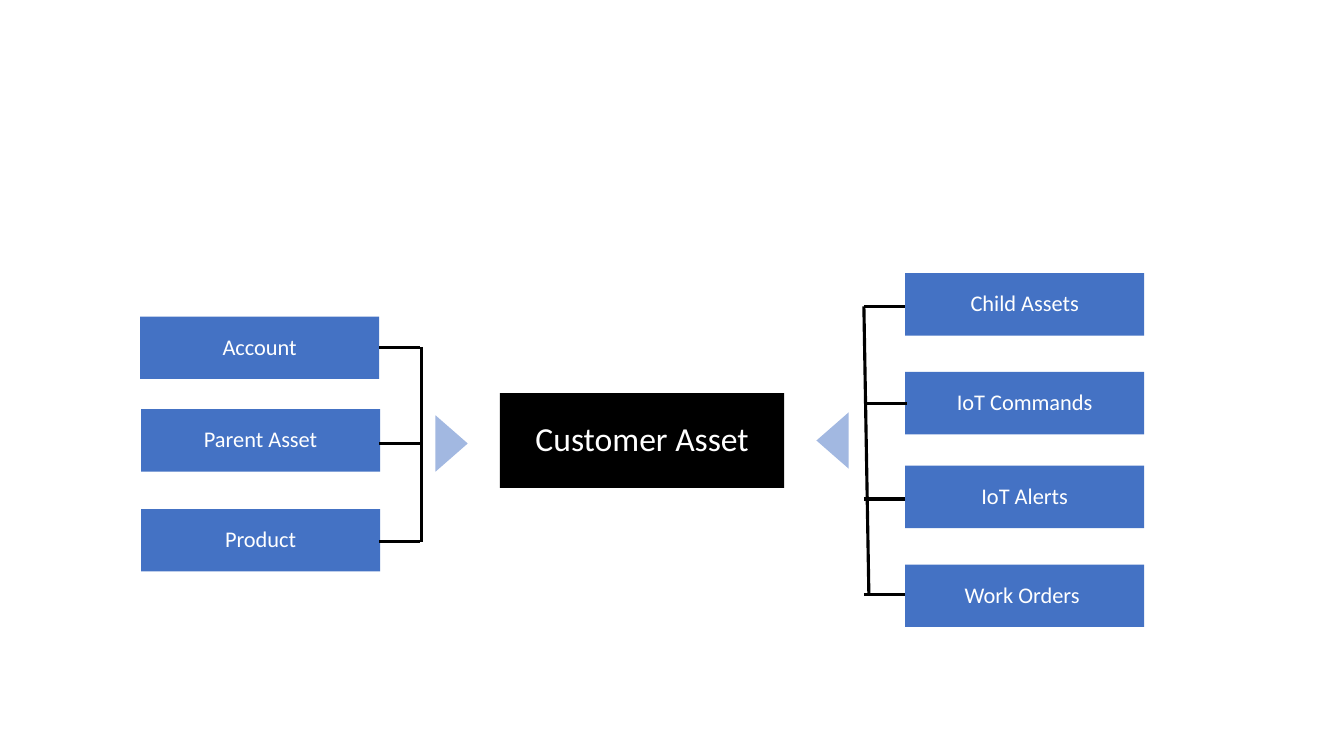
from lxml.etree import SubElement
from pptx import Presentation
from pptx.dml.color import RGBColor
from pptx.enum.shapes import MSO_CONNECTOR, MSO_SHAPE
from pptx.enum.text import MSO_ANCHOR, PP_ALIGN
from pptx.oxml.ns import qn
from pptx.util import Inches, Pt

BLACK = RGBColor(0x00, 0x00, 0x00)
WHITE = RGBColor(0xFF, 0xFF, 0xFF)
BLUE = RGBColor(0x44, 0x72, 0xC4)
PALE_BLUE = RGBColor(0xA2, 0xB8, 0xE1)
FONT = "Calibri"
SLIDE_WIDTH, SLIDE_HEIGHT = Inches(13.333), Inches(7.5)

# Positions and sizes are percentages of the slide's width and height.
CARD_WIDTH, CARD_HEIGHT = 17.78, 8.27
BRANCH_LENGTH = 3.08

# Each entry: label, card left, card top, branch left, branch height on the slide.
PARENTS = [
    ("Account", 10.43, 41.87, 28.2, 46),
    ("Parent Asset", 10.5, 54.13, 28.2, 58.67),
    ("Product", 10.5, 67.33, 28.2, 71.6),
]
CHILDREN = [
    ("Child Assets", 67.35, 36.13, 64.28, 40.53),
    ("IoT Commands", 67.35, 49.2, 64.43, 53.33),
    ("IoT Alerts", 67.35, 61.6, 64.28, 66),
    ("Work Orders ", 67.35, 74.67, 64.28, 78.67),
]


def across(percent):
    return round(SLIDE_WIDTH * percent / 100)


def down(percent):
    return round(SLIDE_HEIGHT * percent / 100)


def add_filled(page, preset, left, top, width, height, color):
    shape = page.shapes.add_shape(
        preset, across(left), down(top), across(width), down(height))
    shape.shadow.inherit = False
    shape.fill.solid()
    shape.fill.fore_color.rgb = color
    shape.line.fill.background()
    return shape


def write_text(box, text, size=16, color=WHITE):
    frame = box.text_frame
    frame.word_wrap = True
    frame.vertical_anchor = MSO_ANCHOR.MIDDLE
    frame.margin_left = frame.margin_right = Inches(0.27)
    frame.margin_top = frame.margin_bottom = Inches(0.21)
    para = frame.paragraphs[0]
    para.alignment = PP_ALIGN.CENTER
    para.line_spacing = 0.9
    span = para.add_run()
    span.text = text
    span.font.name = FONT
    span.font.size = Pt(size)
    span.font.color.rgb = color


def add_card(page, text, left, top, width=CARD_WIDTH, height=CARD_HEIGHT,
             fill=BLUE, size=16):
    card = add_filled(page, MSO_SHAPE.RECTANGLE, left, top, width, height, fill)
    write_text(card, text, size=size)


def add_line(page, start_x, start_y, end_x, end_y):
    line = page.shapes.add_connector(
        MSO_CONNECTOR.STRAIGHT,
        across(start_x), down(start_y), across(end_x), down(end_y))
    line.line.color.rgb = BLACK
    line.line.width = Pt(2.25)
    SubElement(line._element.spPr, qn("a:effectLst"))


def add_pointer(page, left, top, rotation):
    pointer = add_filled(
        page, MSO_SHAPE.ISOSCELES_TRIANGLE, left, top, 4.2, 4.27, PALE_BLUE)
    pointer.rotation = rotation


def add_bracket(page, entries, spine):
    """Draw a group of cards, the spine beside them and a branch to each card."""
    add_line(page, *spine)
    for label, left, top, branch_left, branch_y in entries:
        add_card(page, label, left, top)
        add_line(page, branch_left, branch_y, branch_left + BRANCH_LENGTH, branch_y)


def main():
    deck = Presentation()
    deck.slide_width, deck.slide_height = SLIDE_WIDTH, SLIDE_HEIGHT
    page = deck.slides.add_slide(deck.slide_layouts[6])

    add_card(page, "Customer Asset", 37.2, 52, width=21.15, height=12.53,
             fill=BLACK, size=24)
    add_bracket(page, PARENTS, spine=(31.35, 45.87, 31.35, 71.73))
    add_pointer(page, 31.5, 56.53, rotation=90)
    add_bracket(page, CHILDREN, spine=(64.28, 40.53, 64.65, 78.67))
    add_pointer(page, 59.85, 56.13, rotation=270)

    deck.save("out.pptx")


if __name__ == "__main__":
    main()
